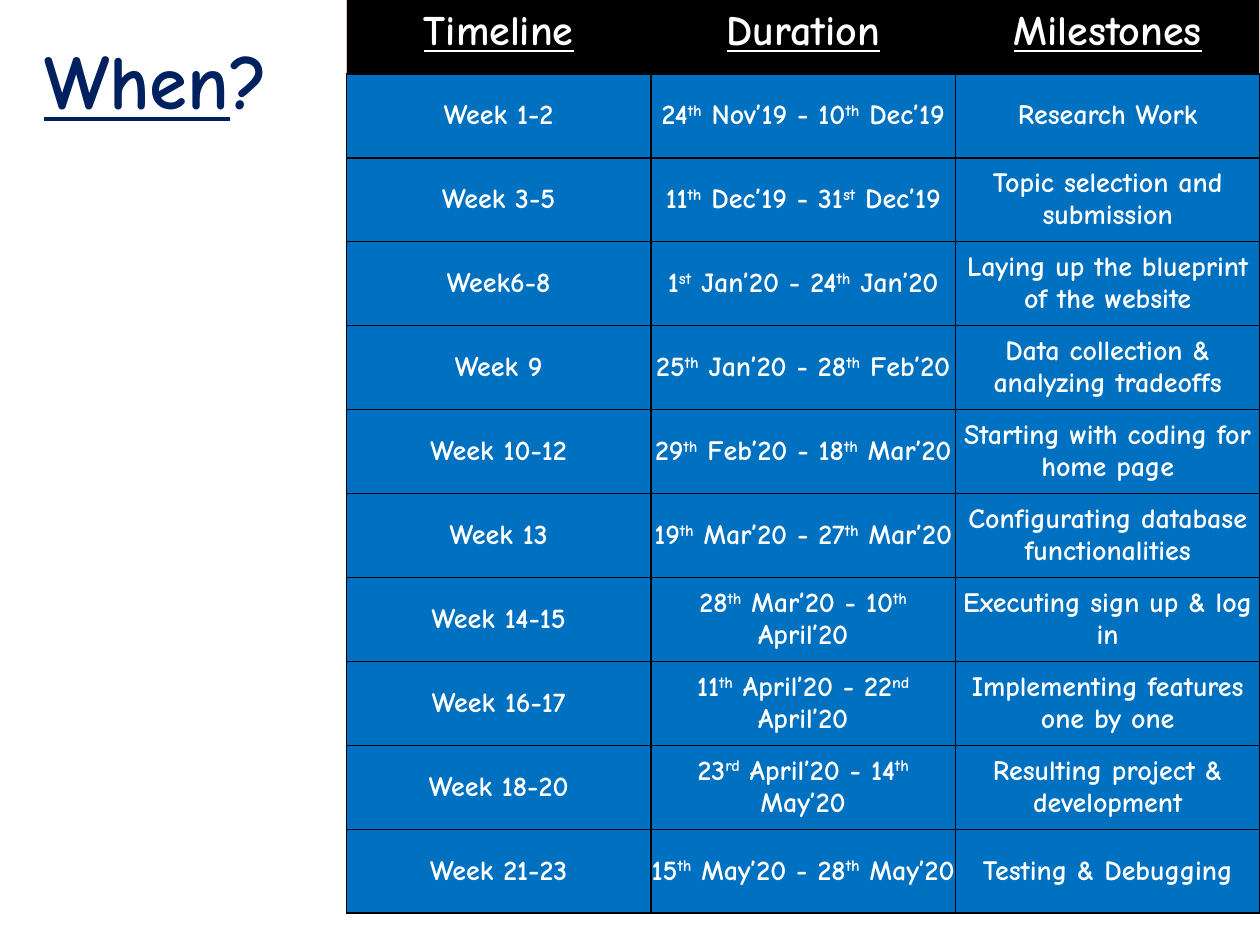
from dataclasses import dataclass

from lxml.etree import SubElement
from pptx import Presentation
from pptx.dml.color import RGBColor
from pptx.enum.text import MSO_ANCHOR, PP_ALIGN
from pptx.oxml.ns import qn
from pptx.util import Inches, Pt


@dataclass(frozen=True)
class Theme:
    font: str = "Comic Neue"
    title_color: str = "002060"
    text_color: str = "FFFFFF"
    header_fill: str = "000000"
    body_fill: str = "0070C0"
    grid: str = "000000"
    header_edge: str = "DEBDBD"
    title_size: int = 44
    header_size: int = 24
    body_size: int = 16


THEME = Theme()

HEADERS = ("Timeline", "Duration", "Milestones")

# A caret raises the two letters that follow it
SCHEDULE = (
    ("Week 1-2", "24^th Nov’19 - 10^th Dec’19", "Research Work"),
    ("Week 3-5", "11^th Dec’19 - 31^st Dec’19", "Topic selection and submission"),
    ("Week6-8", "1^st Jan’20 - 24^th Jan’20", "Laying up the blueprint of the website"),
    ("Week 9", "25^th Jan’20 - 28^th Feb’20", "Data collection & analyzing tradeoffs"),
    ("Week 10-12", "29^th Feb’20 - 18^th Mar’20", "Starting with coding for home page"),
    ("Week 13", "19^th Mar’20 - 27^th Mar’20", "Configurating database functionalities"),
    ("Week 14-15", "28^th Mar’20 - 10^th April’20", "Executing sign up & log in"),
    ("Week 16-17", "11^th April’20 - 22^nd April’20", "Implementing features one by one"),
    ("Week 18-20", "23^rd April’20 - 14^th May’20", "Resulting project & development"),
    ("Week 21-23", "15^th May’20 - 28^th May’20", "Testing & Debugging"),
)


def add_run(paragraph, text, size, color, underline=False, raised=False):
    run = paragraph.add_run()
    run.text = text
    font = run.font
    font.name = THEME.font
    font.size = Pt(size)
    font.bold = True
    font.underline = underline
    font.color.rgb = RGBColor.from_string(color)
    if raised:
        font._element.set("baseline", "30000")


def add_title(slide):
    title = slide.shapes.title
    title.left, title.top = Inches(0.25), Inches(0)
    title.width, title.height = Inches(9), Inches(1.25)
    title.text_frame.vertical_anchor = MSO_ANCHOR.MIDDLE
    paragraph = title.text_frame.paragraphs[0]
    paragraph.alignment = PP_ALIGN.LEFT
    add_run(paragraph, "When", THEME.title_size, THEME.title_color, underline=True)
    add_run(paragraph, "?", THEME.title_size, THEME.title_color)


def set_borders(cell, light_sides=""):
    properties = cell._tc.get_or_add_tcPr()
    for side in "LRTB":
        light = side in light_sides
        line = SubElement(properties, qn(f"a:ln{side}"), w=str(Pt(0.75 if light else 1)))
        fill = SubElement(line, qn("a:solidFill"))
        SubElement(fill, qn("a:srgbClr"), val=THEME.header_edge if light else THEME.grid)


def fill_cell(cell, text, size, fill, underline=False, light_sides=""):
    set_borders(cell, light_sides)
    cell.fill.solid()
    cell.fill.fore_color.rgb = RGBColor.from_string(fill)
    cell.margin_left = cell.margin_right = cell.margin_top = cell.margin_bottom = 0
    cell.vertical_anchor = MSO_ANCHOR.MIDDLE
    paragraph = cell.text_frame.paragraphs[0]
    paragraph.alignment = PP_ALIGN.CENTER
    start, *ordinals = text.split("^")
    add_run(paragraph, start, size, THEME.text_color, underline)
    for part in ordinals:
        add_run(paragraph, part[:2], size, THEME.text_color, raised=True)
        add_run(paragraph, part[2:], size, THEME.text_color)


def add_schedule(slide):
    frame = slide.shapes.add_table(
        len(SCHEDULE) + 1, len(HEADERS),
        Inches(2.75), Inches(-0.08), Inches(7.25), Inches(7.33))
    table = frame.table
    table.first_row = True
    table.horz_banding = False

    # Header row, with a lighter outer edge
    for column, (heading, sides) in enumerate(zip(HEADERS, ("LT", "T", "RT"))):
        fill_cell(table.cell(0, column), heading, THEME.header_size,
                  THEME.header_fill, underline=True, light_sides=sides)

    # One row for each phase
    for row, phase in enumerate(SCHEDULE, start=1):
        for column, text in enumerate(phase):
            fill_cell(table.cell(row, column), text, THEME.body_size, THEME.body_fill)


def main():
    presentation = Presentation()
    presentation.slide_width = Inches(10)
    presentation.slide_height = Inches(7.5)
    slide = presentation.slides.add_slide(presentation.slide_layouts[5])
    add_title(slide)
    add_schedule(slide)
    presentation.save("out.pptx")


if __name__ == "__main__":
    main()
